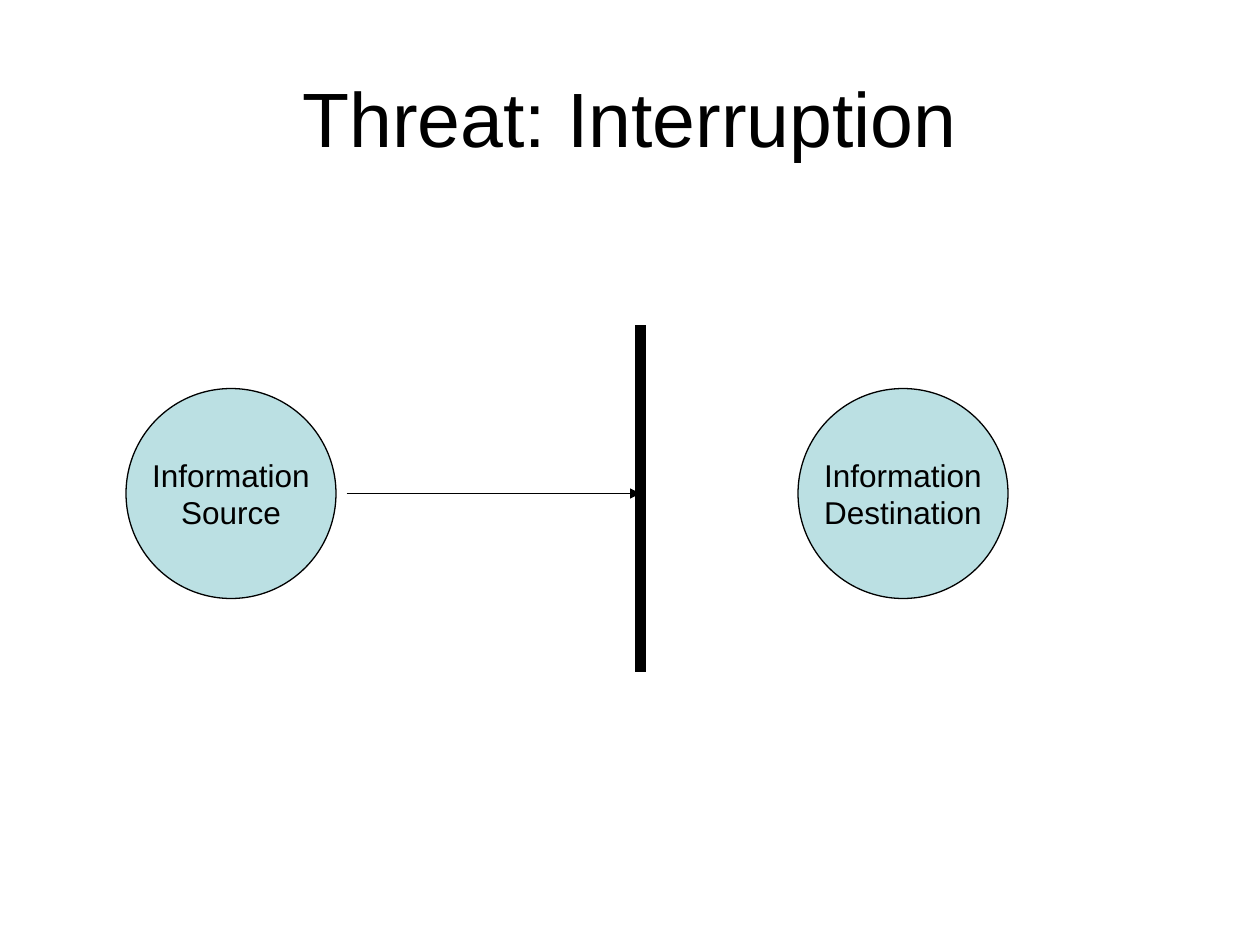
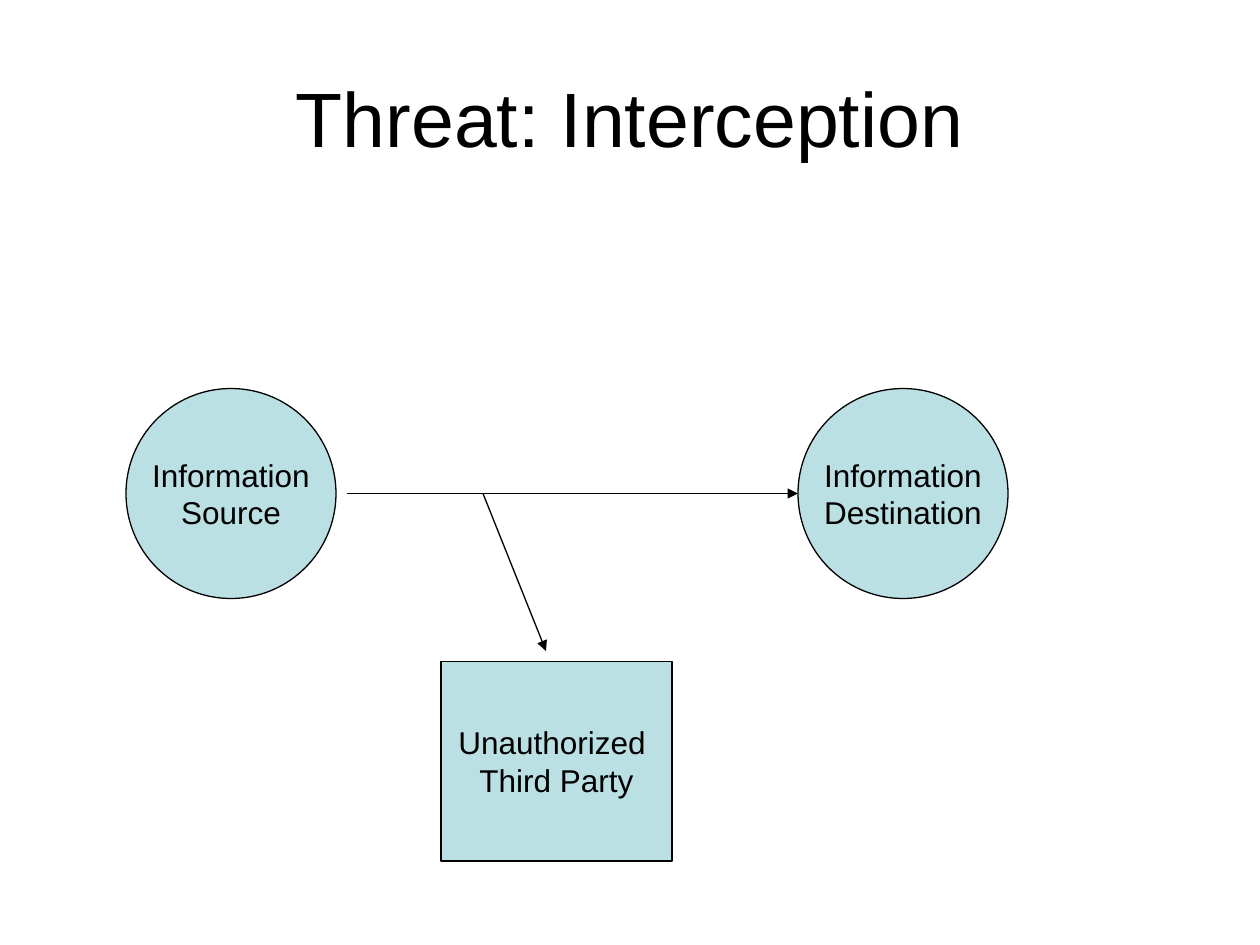
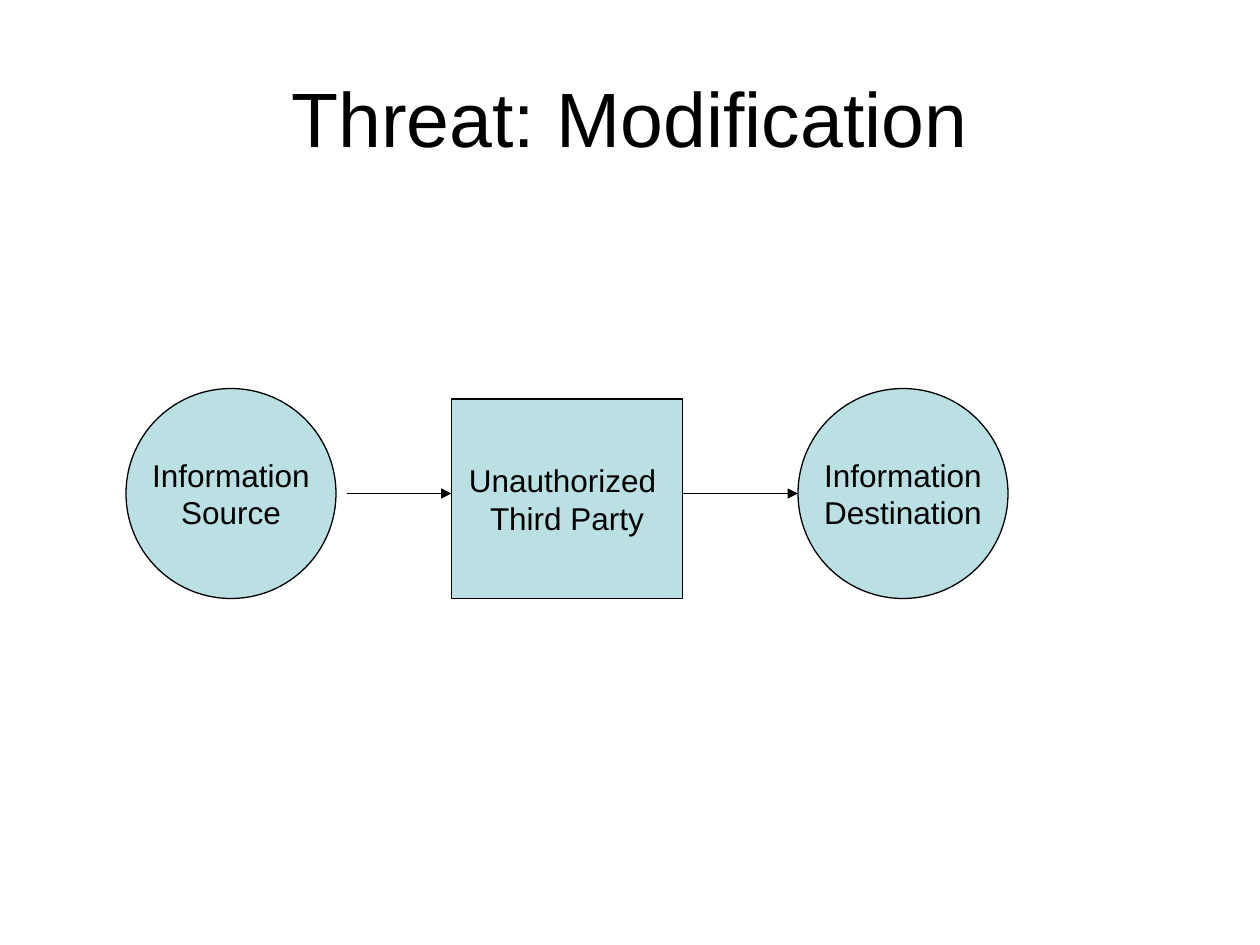
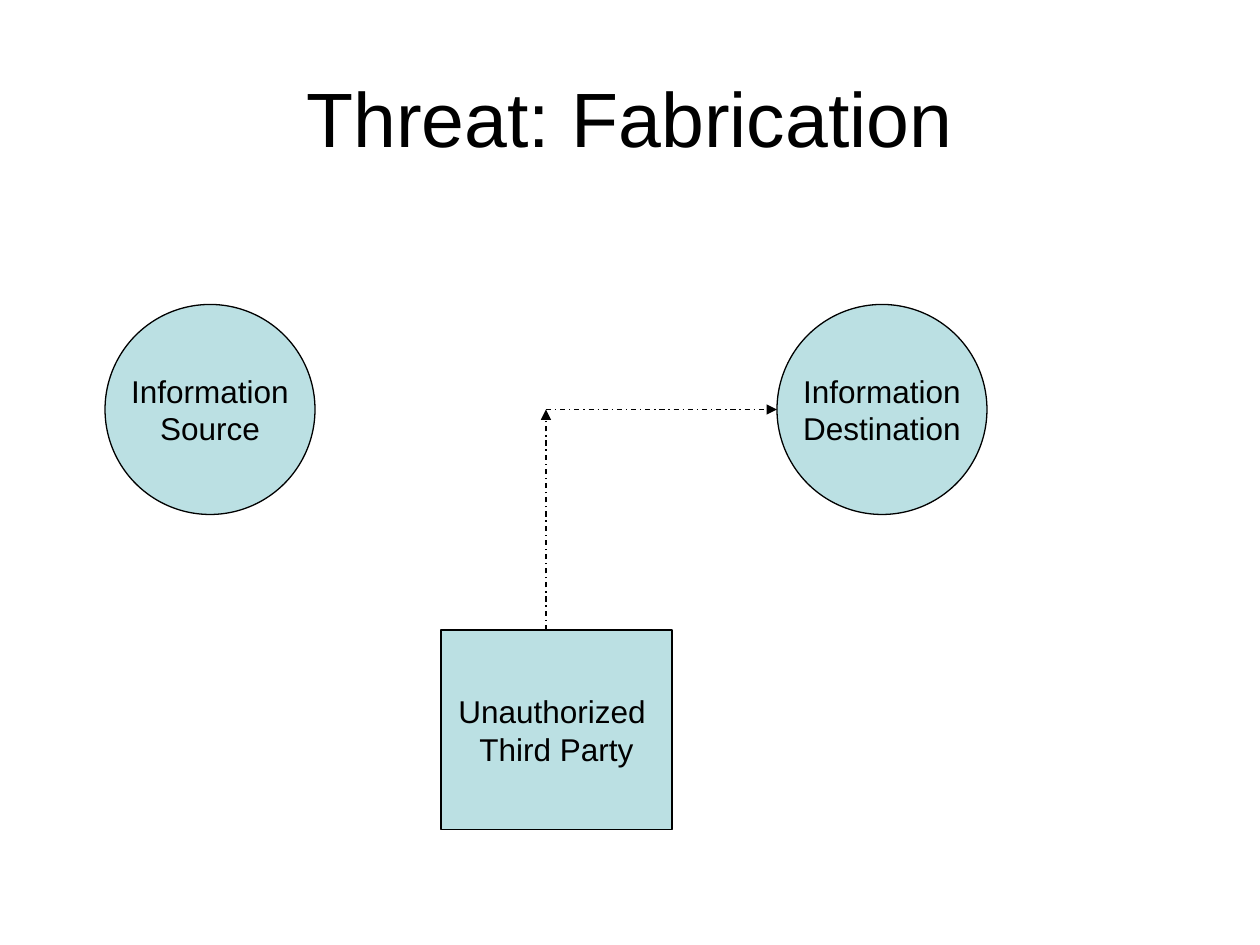
from dataclasses import dataclass
from typing import Optional, Union

from lxml import etree
from pptx import Presentation
from pptx.dml.color import RGBColor
from pptx.enum import dml, shapes, text
from pptx.oxml.ns import qn
from pptx.util import Pt

BLACK = RGBColor(0x00, 0x00, 0x00)
PALE_TEAL = RGBColor(0xBB, 0xE0, 0xE3)
FONT = "Arial"
TITLE_SIZE, LABEL_SIZE = 44, 18
THIN, THICK = 0.75, 6
TITLE_BOX = (36, 21.6, 648, 90)
TITLE_ONLY = 5

CIRCLE = 120
DESTINATION_OFFSET = 384
ARROW_GAP = 6
PARTY_WIDTH, PARTY_HEIGHT = 132, 114
FRAME_FORMAT = {
    "margin_left": Pt(7.2), "margin_right": Pt(7.2),
    "margin_top": Pt(3.6), "margin_bottom": Pt(3.6),
    "vertical_anchor": text.MSO_ANCHOR.MIDDLE,
    "auto_size": text.MSO_AUTO_SIZE.NONE,
}


@dataclass(frozen=True)
class Node:
    kind: shapes.MSO_SHAPE
    lines: tuple[str, ...]
    x: float
    y: float
    width: float
    height: float

    @property
    def middle(self) -> float:
        return self.y + self.height / 2


@dataclass(frozen=True)
class Link:
    start: tuple[float, float]
    end: tuple[float, float]
    weight: float = THIN
    arrow: bool = True
    dash: Optional[dml.MSO_LINE] = None


@dataclass(frozen=True)
class Threat:
    name: str
    items: tuple[Union[Node, Link], ...]


def endpoints(x: float, y: float) -> tuple[Node, Node]:
    """Return the source circle at x, y and its destination circle."""
    oval = shapes.MSO_SHAPE.OVAL
    return (
        Node(oval, ("Information", "Source"), x, y, CIRCLE, CIRCLE),
        Node(oval, ("Information", "Destination"),
             x + DESTINATION_OFFSET, y, CIRCLE, CIRCLE),
    )


def third_party(x: float, y: float) -> Node:
    return Node(shapes.MSO_SHAPE.RECTANGLE, ("Unauthorized ", "Third Party"),
                x, y, PARTY_WIDTH, PARTY_HEIGHT)


def write(tf, lines: tuple[str, ...], size: float, wrap: bool) -> None:
    for name, value in {**FRAME_FORMAT, "word_wrap": wrap}.items():
        setattr(tf, name, value)
    for i, line in enumerate(lines):
        p = tf.add_paragraph() if i else tf.paragraphs[0]
        p.alignment = text.PP_ALIGN.CENTER
        r = p.add_run()
        r.text = line
        for name, value in {"name": FONT, "size": Pt(size)}.items():
            setattr(r.font, name, value)
        r.font.color.rgb = BLACK


def draw_node(slide, node: Node) -> None:
    box = (node.x, node.y, node.width, node.height)
    sp = slide.shapes.add_shape(node.kind, *map(Pt, box))
    sp.shadow.inherit = False
    sp.fill.solid()
    sp.fill.fore_color.rgb = PALE_TEAL
    sp.line.color.rgb = BLACK
    sp.line.width = Pt(THIN)
    write(sp.text_frame, node.lines, LABEL_SIZE, wrap=False)


def draw_link(slide, link: Link) -> None:
    sp = slide.shapes.add_connector(
        shapes.MSO_CONNECTOR.STRAIGHT, *map(Pt, link.start + link.end))
    sp.line.color.rgb = BLACK
    sp.line.width = Pt(link.weight)
    if link.dash is not None:
        sp.line.dash_style = link.dash
    sp_pr = sp._element.spPr
    if link.arrow:
        etree.SubElement(sp_pr.find(qn("a:ln")), qn("a:tailEnd"), type="triangle")
    etree.SubElement(sp_pr, qn("a:effectLst"))


def draw_threat(prs, threat: Threat) -> None:
    slide = prs.slides.add_slide(prs.slide_layouts[TITLE_ONLY])
    title = slide.shapes.title
    for name, value in zip(("left", "top", "width", "height"), TITLE_BOX):
        setattr(title, name, Pt(value))
    write(title.text_frame, (f"Threat: {threat.name}",), TITLE_SIZE, wrap=True)
    for item in threat.items:
        if isinstance(item, Node):
            draw_node(slide, item)
        else:
            draw_link(slide, item)


def build_threats() -> tuple[Threat, ...]:
    source, destination = endpoints(72, 222)
    flow_y = source.middle
    flow_start = (source.x + CIRCLE + ARROW_GAP, flow_y)
    flow = Link(flow_start, (destination.x, flow_y))
    barrier_x = 366
    eavesdropper = third_party(252, 378)
    modifier = third_party(258, 228)

    idle_source, deceived = endpoints(60, 174)
    forger = third_party(252, 360)
    corner = (312, deceived.middle)
    dash = dml.MSO_LINE.DASH_DOT

    return (
        Threat("Interruption", (
            source, destination,
            Link(flow_start, (barrier_x, flow_y)),
            Link((barrier_x, 186), (barrier_x, 384), THICK, arrow=False),
        )),
        Threat("Interception", (
            source, destination, flow, eavesdropper,
            Link((276, flow_y), (312, eavesdropper.y - ARROW_GAP)),
        )),
        Threat("Modification", (
            source, destination, flow, modifier,
            Link(flow_start, (modifier.x, flow_y)),
        )),
        Threat("Fabrication", (
            idle_source, deceived, forger,
            Link((corner[0], forger.y), corner, dash=dash),
            Link(corner, (deceived.x, deceived.middle), dash=dash),
        )),
    )


def main() -> None:
    prs = Presentation()
    prs.slide_width, prs.slide_height = Pt(720), Pt(540)
    for threat in build_threats():
        draw_threat(prs, threat)
    prs.save("out.pptx")


if __name__ == "__main__":
    main()
